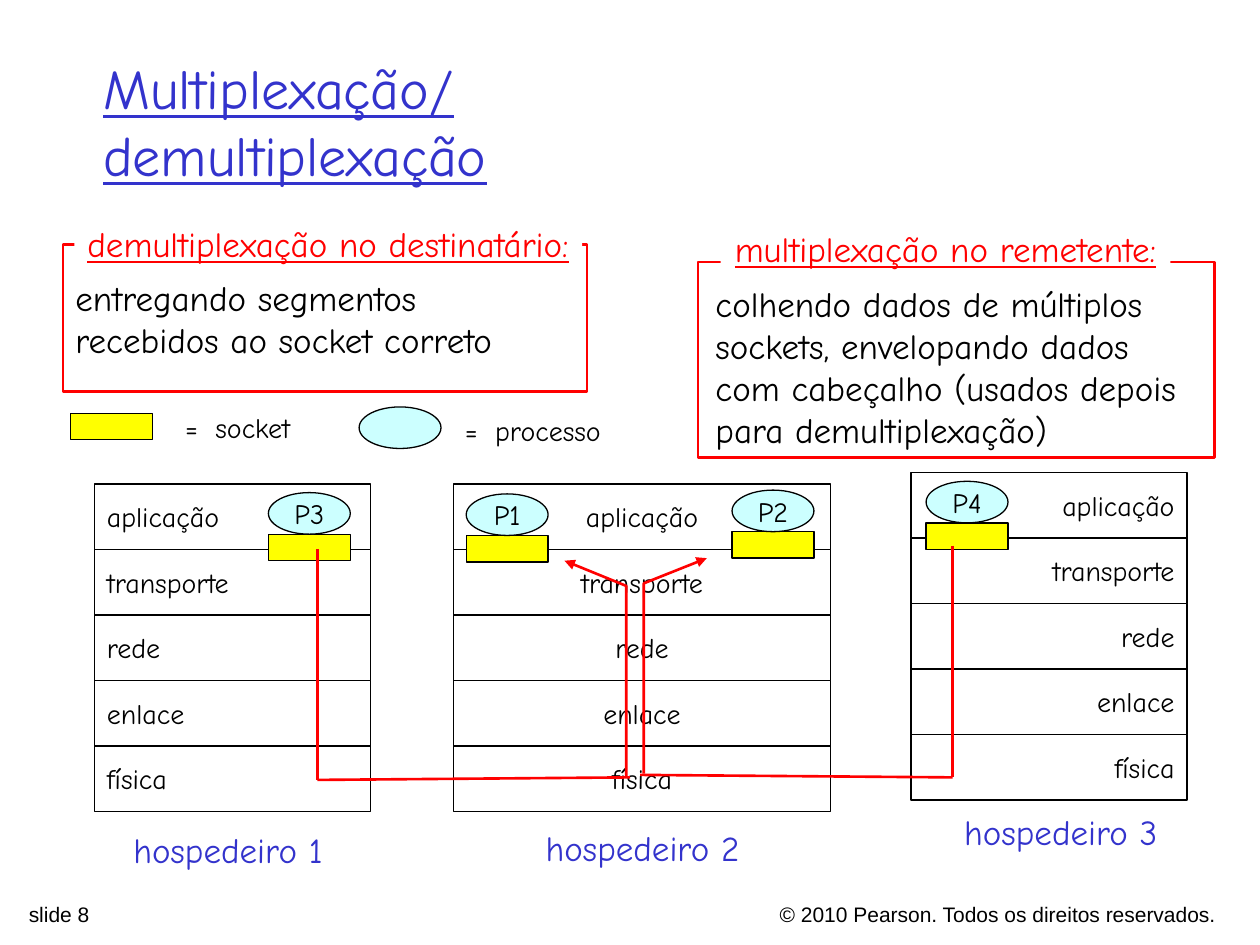
import pptx
import pptx.dml.color
import pptx.enum.shapes
import pptx.enum.text
import pptx.oxml.ns
import pptx.util
from lxml import etree

SHAPES = pptx.enum.shapes.MSO_SHAPE
ALIGN = {"l": pptx.enum.text.PP_ALIGN.LEFT, "c": pptx.enum.text.PP_ALIGN.CENTER,
         "r": pptx.enum.text.PP_ALIGN.RIGHT}
TOP, MIDDLE = pptx.enum.text.MSO_ANCHOR.TOP, pptx.enum.text.MSO_ANCHOR.MIDDLE
BLACK, WHITE, BLUE, RED = "000000", "FFFFFF", "3333CC", "FF0000"
YELLOW, CYAN = "FFFF00", "CCFFFF"
BODY_FONT = "Comic Neue"

LAYERS = ["aplicação", "transporte", "rede", "enlace", "física"]
LAYER_HEIGHT = 0.52
SOCKET_SIZE = (0.65, 0.21)
PROCESS_SIZE = (0.65, 0.33)
HOSTS = [
    {"at": (0.75, 3.84), "width": 2.19, "align": "l",
     "processes": [("P3", 2.13, 3.91)],
     "name": "hospedeiro 1", "name_at": (0.94, 6.53)},
    {"at": (7.23, 3.75), "width": 2.19, "align": "r",
     "processes": [("P4", 7.35, 3.82)],
     "name": "hospedeiro 3", "name_at": (7.55, 6.38)},
    {"at": (3.6, 3.84), "width": 2.99, "align": "c",
     "processes": [("P2", 5.81, 3.89), ("P1", 3.7, 3.92)],
     "name": "hospedeiro 2", "name_at": (4.23, 6.51)},
]
ROUTES = [
    {"down": [(2.52, 4.36), (2.52, 6.19)], "across": [(2.52, 6.19), (5, 6.17)],
     "up": [(4.97, 6.17), (4.97, 4.65), (4.48, 4.45)]},
    {"down": [(7.56, 4.33), (7.56, 6.17)], "across": [(7.56, 6.17), (5.08, 6.15)],
     "up": [(5.11, 6.14), (5.11, 4.63), (5.61, 4.43)]},
]
LEGEND = [("=\tsocket", (1.28, 3.21, 1.12, 0.37)),
          ("=\tprocesso", (3.5, 3.23, 1.36, 0.37))]
SENDER = ["colhendo dados de múltiplos", "sockets, envelopando dados",
          "com cabeçalho (usados depois", "para demultiplexação)"]

deck = pptx.Presentation()
deck.slide_width, deck.slide_height = pptx.util.Inches(10), pptx.util.Inches(7.5)
slide = deck.slides.add_slide(deck.slide_layouts[6])


def inches(values):
    """Convert a sequence of inches to lengths."""
    return [pptx.util.Inches(value) for value in values]


def color(code):
    """Turn a hex string into a colour."""
    return pptx.dml.color.RGBColor.from_string(code)


def write(holder, paragraphs, size=16, ink=BLACK, align="l", anchor=TOP,
          font=BODY_FONT, underline=False):
    """Write paragraphs into a shape, breaking lines at each newline."""
    frame = holder.text_frame
    frame.word_wrap = align != "c"
    frame.vertical_anchor = anchor
    for index, content in enumerate(paragraphs):
        paragraph = frame.paragraphs[0] if index == 0 else frame.add_paragraph()
        paragraph.alignment = ALIGN[align]
        for number, words in enumerate(content.split("\n")):
            if number:
                paragraph.add_line_break()
            run = paragraph.add_run()
            run.text = words
            run.font.size, run.font.name = pptx.util.Pt(size), font
            run.font.color.rgb = color(ink)
            run.font.underline = underline or None
    return frame


def textbox(at, paragraphs, **style):
    """Add a text box holding the given paragraphs."""
    return write(slide.shapes.add_textbox(*inches(at)), paragraphs, **style)


def block(kind, at, fill=None, line=BLACK, weight=0.75):
    """Add a preset shape; no fill or line where the colour is None."""
    shape = slide.shapes.add_shape(kind, *inches(at))
    shape.shadow.inherit = False
    if fill:
        shape.fill.solid()
        shape.fill.fore_color.rgb = color(fill)
    else:
        shape.fill.background()
    if line:
        shape.line.color.rgb, shape.line.width = color(line), pptx.util.Pt(weight)
    else:
        shape.line.fill.background()
    return shape


def socket(left, top):
    """Add a yellow socket."""
    return block(SHAPES.RECTANGLE, (left, top, *SOCKET_SIZE), YELLOW)


def process(left, top):
    """Add a pale process ellipse."""
    return block(SHAPES.OVAL, (left, top, *PROCESS_SIZE), CYAN)


def host(info):
    """Draw a protocol stack with its processes, sockets and name."""
    left, top = info["at"]
    for row, layer in enumerate(LAYERS):
        cell = block(SHAPES.RECTANGLE,
                     (left, top + row * LAYER_HEIGHT, info["width"], LAYER_HEIGHT), WHITE)
        write(cell, [layer], align=info["align"], anchor=MIDDLE)
    for label, x, y in info["processes"]:
        socket(x, y + PROCESS_SIZE[1])
        write(process(x, y), [label], align="c", anchor=MIDDLE)
    textbox((*info["name_at"], 1.74, 0.44), [info["name"]], size=20, ink=BLUE, align="c")


def route(info):
    """Draw the red path of a segment from one socket to another."""
    for start, end in (info["down"], info["across"]):
        leg = slide.shapes.add_connector(pptx.enum.shapes.MSO_CONNECTOR.STRAIGHT,
                                         *inches(start + end))
        etree.SubElement(leg._element.spPr, pptx.oxml.ns.qn("a:effectLst"))
        leg.line.color.rgb, leg.line.width = color(RED), pptx.util.Pt(1.5)
    first, *rest = [inches(point) for point in info["up"]]
    builder = slide.shapes.build_freeform(*first)
    builder.add_line_segments(rest, close=False)
    arrow = builder.convert_to_shape()
    arrow.shadow.inherit = False
    arrow.fill.background()
    arrow.line.color.rgb, arrow.line.width = color(RED), pptx.util.Pt(1.5)
    etree.SubElement(arrow.line._get_or_add_ln(), pptx.oxml.ns.qn("a:tailEnd"), type="triangle")


def legend(words, at):
    """Write a legend entry, with the word set off by a tab."""
    frame = textbox(at, [words])
    frame.margin_left, frame.margin_right = inches((0.19, 0))
    properties = frame.paragraphs[0]._p.get_or_add_pPr()
    tabs = etree.SubElement(properties, pptx.oxml.ns.qn("a:tabLst"))
    etree.SubElement(tabs, pptx.oxml.ns.qn("a:tab"), pos=str(pptx.util.Inches(0.24)), algn="l")


def heading(at, words):
    """Add a red heading that interrupts the frame below it."""
    write(block(SHAPES.RECTANGLE, at, WHITE, None), [words],
          size=20, ink=RED, align="c", underline=True)


def main():
    """Build the slide and save it."""
    textbox((4.64, 7.11, 5.11, 0.24), ["© 2010 Pearson. Todos os direitos reservados."],
            size=12, align="r", font="Arial")
    textbox((0.13, 7.11, 3.52, 0.23), ["slide 8"], size=12, font="Arial")
    textbox((0.72, 0.33, 8.5, 1.25), ["Multiplexação/\ndemultiplexação"],
            size=32, ink=BLUE, anchor=MIDDLE, underline=True)
    for info in HOSTS:
        host(info)
    for info in ROUTES:
        route(info)
    socket(0.56, 3.28)
    process(2.85, 3.23)
    for words, at in LEGEND:
        legend(words, at)
    receiver = block(SHAPES.RECTANGLE, (0.5, 1.94, 4.16, 1.17), line=RED, weight=1.5)
    write(receiver, ["entregando segmentos\nrecebidos ao socket correto"],
          size=20, anchor=MIDDLE)
    heading((0.59, 1.72, 4.03, 0.44), "demultiplexação no destinatário:")
    textbox((5.58, 2.19, 4.17, 1.44), SENDER, size=20)
    block(SHAPES.RECTANGLE, (5.54, 2.08, 4.1, 1.55), line=RED, weight=1.5)
    heading((5.72, 1.76, 3.57, 0.44), "multiplexação no remetente:")
    deck.save("out.pptx")


if __name__ == "__main__":
    main()
